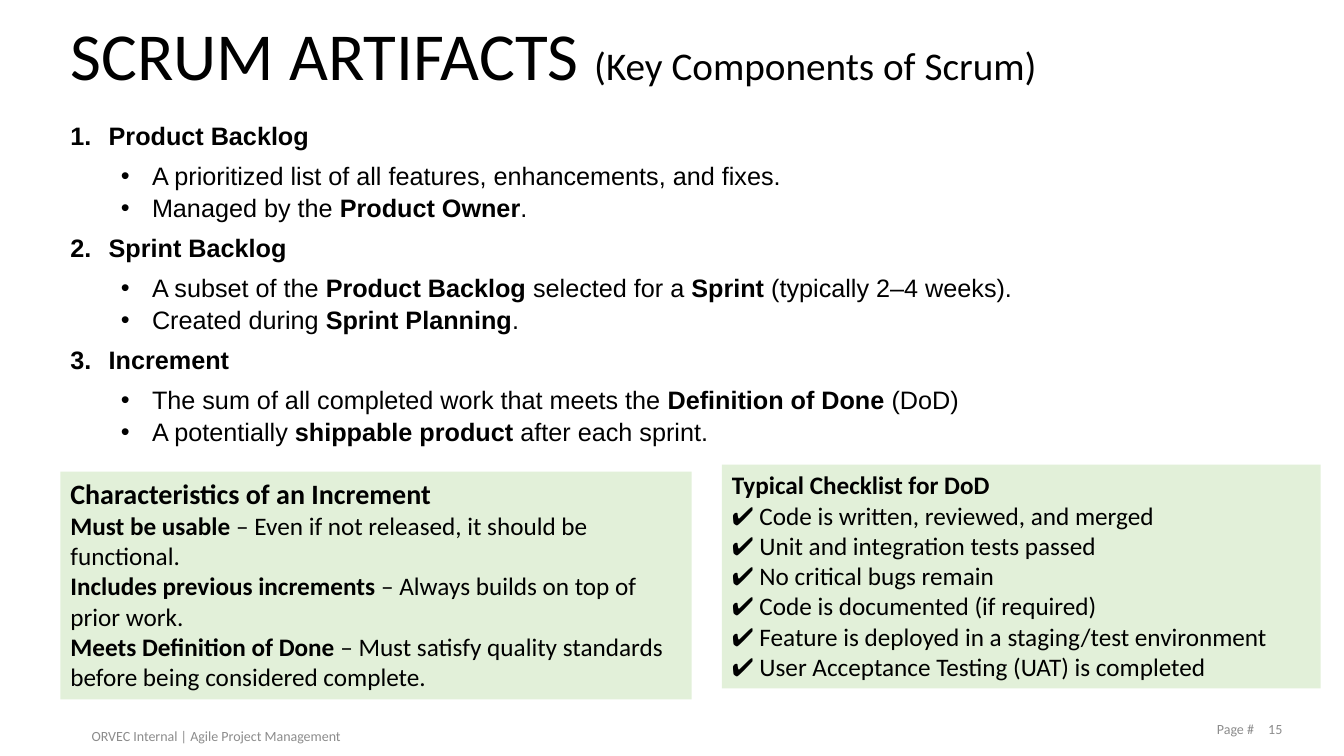
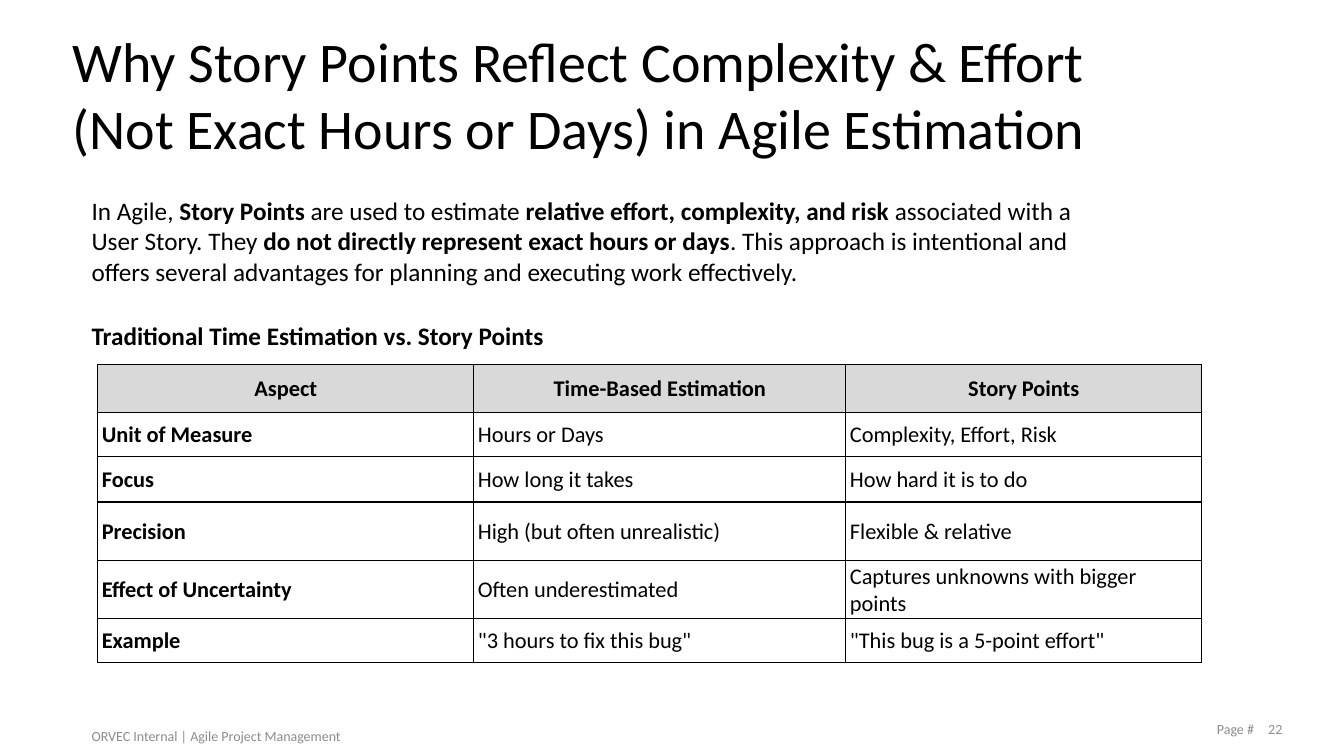
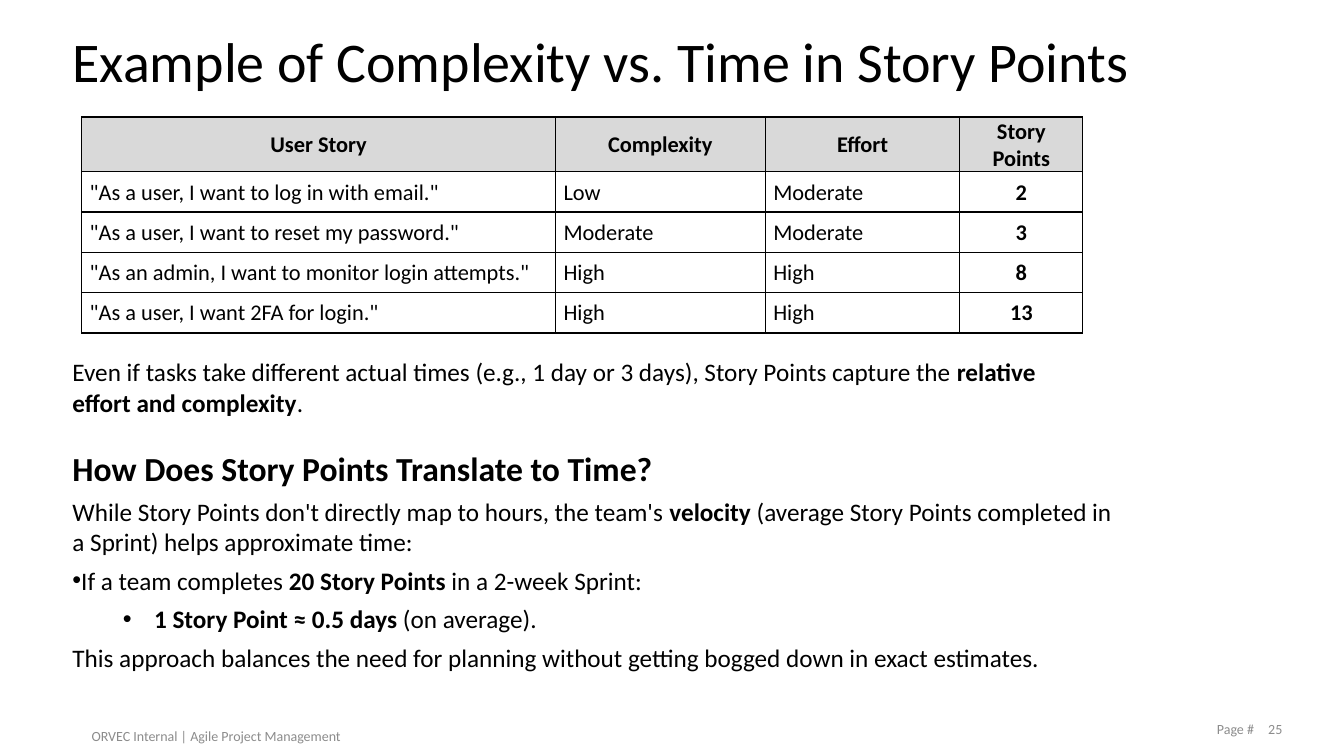
from dataclasses import dataclass
from typing import Optional, Sequence

from lxml import etree
from pptx import Presentation
from pptx import util as u
from pptx.dml.color import RGBColor
from pptx.enum import shapes, text
from pptx.oxml import ns

INK, MUTED, PANEL, HEADER = "000000", "8C8C8C", "E2F0D9", "D9D9D9"
BODY_FONT, LIST_FONT = "Calibri", "Arial"
FOOTER = "ORVEC Internal | Agile Project Management"
TITLE_ONLY = 5
TOP, MIDDLE = text.MSO_ANCHOR.TOP, text.MSO_ANCHOR.MIDDLE
LEFT, CENTER = text.PP_ALIGN.LEFT, text.PP_ALIGN.CENTER


@dataclass(frozen=True)
class Box:
    left: float
    top: float
    width: float
    height: float

    def lengths(self) -> list:
        return [u.Inches(n) for n in (self.left, self.top, self.width, self.height)]


@dataclass(frozen=True)
class Para:
    """One paragraph; **double stars** enclose its bold words."""
    content: str
    size: float = 18
    font: str = BODY_FONT
    color: str = INK
    align: text.PP_ALIGN = LEFT
    before: float = 0
    after: float = 0
    spacing: float = 1.0
    level: int = 0
    margin: float = 0
    hanging: float = 0
    bullet: Optional[str] = None


@dataclass(frozen=True)
class Grid:
    left: float
    top: float
    columns: Sequence[float]
    heights: Sequence[float]
    side_inset: float
    centered_columns: Sequence[int]
    rows: Sequence[Sequence[str]]


def rgb(color: str) -> RGBColor:
    return RGBColor.from_string(color)


def assign(target, values: dict) -> None:
    for name, value in values.items():
        setattr(target, name, value)


def set_bullet(paragraph, para: Para) -> None:
    """Set the indent and the bullet; the bullet "1." numbers by itself."""
    props = paragraph._p.get_or_add_pPr()
    props.set("marL", str(u.Inches(para.margin)))
    props.set("indent", str(-u.Inches(para.hanging)))
    if para.bullet is None:
        etree.SubElement(props, ns.qn("a:buNone"))
    elif para.bullet == "1.":
        etree.SubElement(props, ns.qn("a:buFont"), typeface="+mj-lt")
        etree.SubElement(props, ns.qn("a:buAutoNum"), type="arabicPeriod")
    else:
        etree.SubElement(props, ns.qn("a:buFont"), typeface="Arial")
        etree.SubElement(props, ns.qn("a:buChar"), char=para.bullet)


def write(frame, paras: Sequence[Para], anchor=TOP) -> None:
    assign(frame, {"word_wrap": True, "vertical_anchor": anchor})
    for index, para in enumerate(paras):
        paragraph = frame.paragraphs[0] if index == 0 else frame.add_paragraph()
        assign(paragraph, {
            "alignment": para.align, "level": para.level, "line_spacing": para.spacing,
            "space_before": u.Pt(para.before), "space_after": u.Pt(para.after),
        })
        set_bullet(paragraph, para)
        for part, words in enumerate(para.content.split("**")):
            if words:
                run = paragraph.add_run()
                run.text = words
                assign(run.font, {"name": para.font, "size": u.Pt(para.size),
                                  "bold": part % 2 == 1})
                run.font.color.rgb = rgb(para.color)


def add_text(slide, box: Box, paras: Sequence[Para], anchor=TOP) -> None:
    write(slide.shapes.add_textbox(*box.lengths()).text_frame, paras, anchor)


def add_panel(slide, box: Box, paras: Sequence[Para]) -> None:
    panel = slide.shapes.add_shape(shapes.MSO_SHAPE.RECTANGLE, *box.lengths())
    panel.shadow.inherit = False
    panel.fill.solid()
    panel.fill.fore_color.rgb = rgb(PANEL)
    panel.line.fill.background()
    write(panel.text_frame, paras)


def add_borders(cell) -> None:
    props = cell._tc.get_or_add_tcPr()
    for side in ("lnL", "lnR", "lnT", "lnB"):
        line = etree.SubElement(props, ns.qn(f"a:{side}"), w=str(u.Pt(1)))
        fill = etree.SubElement(line, ns.qn("a:solidFill"))
        etree.SubElement(fill, ns.qn("a:srgbClr"), val=INK)


def add_grid(slide, grid: Grid) -> None:
    box = Box(grid.left, grid.top, sum(grid.columns), sum(grid.heights))
    table = slide.shapes.add_table(
        len(grid.rows), len(grid.columns), *box.lengths()).table
    assign(table, {"first_row": False, "horz_banding": False})
    for column, width in zip(table.columns, grid.columns):
        column.width = u.Inches(width)
    for row, height in zip(table.rows, grid.heights):
        row.height = u.Inches(height)
    inset = u.Inches(grid.side_inset)
    for r, row in enumerate(grid.rows):
        for c, words in enumerate(row):
            cell = table.cell(r, c)
            assign(cell, {"margin_left": inset, "margin_right": inset,
                          "margin_top": u.Inches(0.01), "margin_bottom": 0,
                          "vertical_anchor": MIDDLE})
            add_borders(cell)
            if r == 0:
                cell.fill.solid()
                cell.fill.fore_color.rgb = rgb(HEADER)
                words = f"**{words}**"
            else:
                cell.fill.background()
            centered = r == 0 or c in grid.centered_columns
            write(cell.text_frame,
                  [Para(words, size=16, align=CENTER if centered else LEFT)], MIDDLE)


def add_slide(deck, page: int, title_box: Box, title: str, size: float,
              subtitle: str = ""):
    """Add a slide with its title, footer and page number."""
    slide = deck.slides.add_slide(deck.slide_layouts[TITLE_ONLY])
    heading = slide.shapes.title
    assign(heading, dict(zip(("left", "top", "width", "height"), title_box.lengths())))
    heading.text_frame.auto_size = text.MSO_AUTO_SIZE.NONE
    write(heading.text_frame, [Para(title, size=size)])
    if subtitle:
        run = heading.text_frame.paragraphs[0].add_run()
        run.text = subtitle
        assign(run.font, {"name": BODY_FONT, "size": u.Pt(28)})
        run.font.color.rgb = rgb(INK)
    for box, words in ((Box(0.81, 7.1, 4.32, 0.4), FOOTER),
                       (Box(11.94, 7.03, 0.68, 0.4), " Page #"),
                       (Box(12.48, 7.03, 0.51, 0.4), str(page))):
        add_text(slide, box, [Para(words, size=10, color=MUTED)], MIDDLE)
    return slide


def artifact(name: str, *details: str) -> list[Para]:
    """A numbered artifact with its bulleted details."""
    return [Para(f"**{name}**", font=LIST_FONT, before=6, after=6, spacing=1.05,
                 margin=0.38, hanging=0.38, bullet="1.")] + [
        Para(detail, font=LIST_FONT, spacing=1.05, level=1,
             margin=0.81, hanging=0.31, bullet="•") for detail in details]


def build_artifacts(deck) -> None:
    slide = add_slide(deck, 15, Box(0.6, 0.08, 10.18, 0.91), "SCRUM ARTIFACTS ", 48,
                      "(Key Components of Scrum)")
    add_text(slide, Box(0.6, 1.13, 9.6, 3.55), [
        *artifact("Product Backlog",
                  "A prioritized list of all features, enhancements, and fixes.",
                  "Managed by the **Product Owner**."),
        *artifact("Sprint Backlog",
                  "A subset of the **Product Backlog** selected for a **Sprint** "
                  "(typically 2–4 weeks).",
                  "Created during **Sprint Planning**."),
        *artifact("Increment",
                  "The sum of all completed work that meets the "
                  "**Definition of Done** (DoD)",
                  "A potentially **shippable product** after each sprint."),
    ])
    add_panel(slide, Box(0.6, 4.68, 6.26, 2.26), [
        Para("**Characteristics of an Increment**", size=20),
        Para("**Must be usable** – Even if not released, it should be functional."),
        Para("**Includes previous increments** – Always builds on top of prior work."),
        Para("**Meets Definition of Done** – Must satisfy quality standards "
             "before being considered complete."),
    ])
    checks = ("Code is written, reviewed, and merged",
              "Unit and integration tests passed",
              "No critical bugs remain",
              "Code is documented (if required)",
              "Feature is deployed in a staging/test environment",
              "User Acceptance Testing (UAT) is completed")
    add_panel(slide, Box(7.16, 4.61, 5.94, 2.22),
              [Para("**Typical Checklist for DoD**"),
               *(Para(f"✔ {check}") for check in checks)])


def build_story_points(deck) -> None:
    slide = add_slide(deck, 22, Box(0.62, 0.21, 11.1, 1.45),
                      "Why Story Points Reflect Complexity & Effort "
                      "(Not Exact Hours or Days) in Agile Estimation", 40)
    add_text(slide, Box(0.81, 1.89, 10.39, 1.01), [Para(
        "In Agile, **Story Points** are used to estimate **relative effort, complexity, "
        "and risk** associated with a User Story. They **do not directly represent "
        "exact hours or days**. This approach is intentional and offers several "
        "advantages for planning and executing work effectively.")])
    add_text(slide, Box(0.81, 3.13, 6.67, 0.4),
             [Para("**Traditional Time Estimation vs. Story Points**")])
    add_grid(slide, Grid(
        0.97, 3.62, (3.73, 3.69, 3.53), (0.47, 0.44, 0.45, 0.58, 0.58, 0.43), 0.04, (),
        (("Aspect", "Time-Based Estimation", "Story Points"),
         ("**Unit of Measure**", "Hours or Days", "Complexity, Effort, Risk"),
         ("**Focus**", "How long it takes", "How hard it is to do"),
         ("**Precision**", "High (but often unrealistic)", "Flexible & relative"),
         ("**Effect of Uncertainty**", "Often underestimated",
          "Captures unknowns with bigger points"),
         ("**Example**", '"3 hours to fix this bug"',
          '"This bug is a 5-point effort"'))))


def build_example(deck) -> None:
    slide = add_slide(deck, 25, Box(0.62, 0.21, 11.1, 0.77),
                      "Example of Complexity vs. Time in Story Points", 40)
    add_grid(slide, Grid(
        0.81, 1.16, (4.7, 2.08, 1.93, 1.22), (0.54, 0.4, 0.4, 0.4, 0.4), 0.08, (3,),
        (("User Story", "Complexity", "Effort", "Story Points"),
         ('"As a user, I want to log in with email."', "Low", "Moderate", "**2**"),
         ('"As a user, I want to reset my password."', "Moderate", "Moderate", "**3**"),
         ('"As an admin, I want to monitor login attempts."', "High", "High", "**8**"),
         ('"As a user, I want 2FA for login."', "High", "High", "**13**"))))
    add_text(slide, Box(0.62, 3.49, 10, 0.71), [Para(
        "Even if tasks take different actual times (e.g., 1 day or 3 days), "
        "Story Points capture the **relative effort and complexity**.")])
    add_text(slide, Box(0.62, 4.39, 10.59, 2.36), [
        Para("**How Does Story Points Translate to Time?**", size=24, before=6, after=6),
        Para("While Story Points don't directly map to hours, the team's **velocity** "
             "(average Story Points completed in a Sprint) helps approximate time:",
             after=6),
        Para("If a team completes **20 Story Points** in a 2-week Sprint:",
             after=6, bullet="•"),
        Para("**1 Story Point ≈ 0.5 days** (on average).", after=6, level=1,
             margin=0.81, hanging=0.31, bullet="•"),
        Para("This approach balances the need for planning without getting bogged down "
             "in exact estimates.", after=6),
    ])


def main() -> None:
    deck = Presentation()
    assign(deck, {"slide_width": u.Inches(13.33), "slide_height": u.Inches(7.5)})
    for build in (build_artifacts, build_story_points, build_example):
        build(deck)
    deck.save("out.pptx")


if __name__ == "__main__":
    main()
